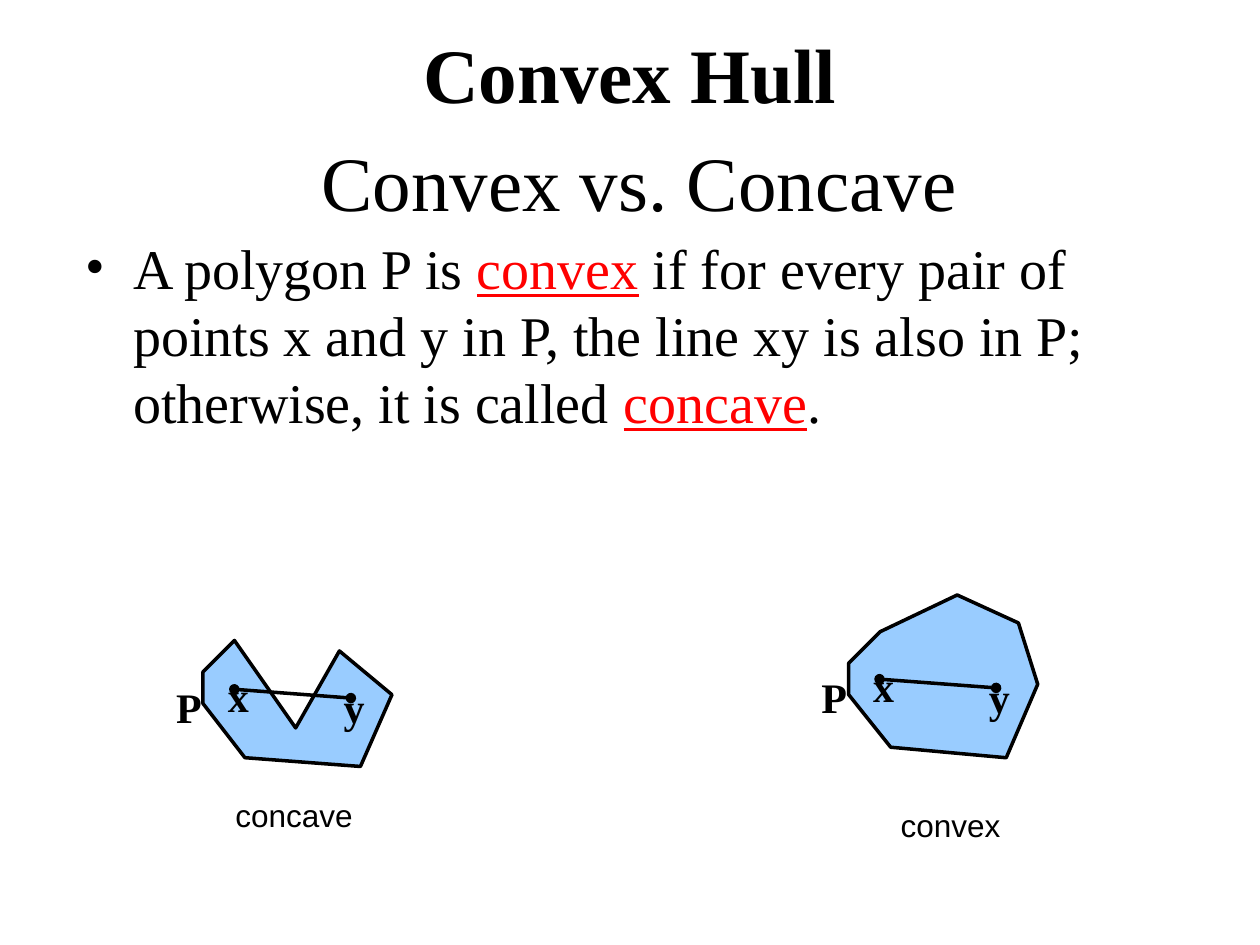
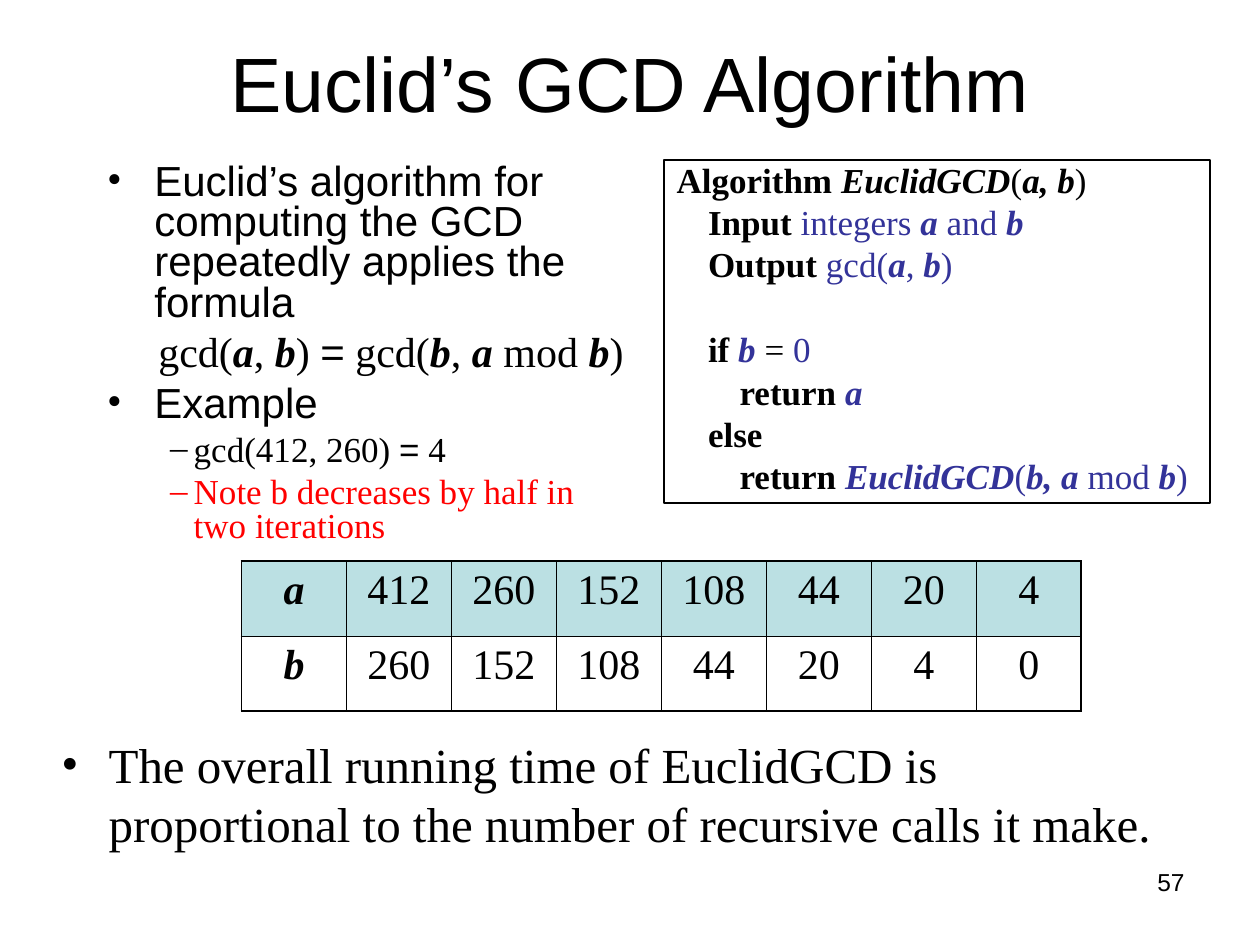
"""Build two slides on convex polygons and Euclid's GCD algorithm."""
from lxml.etree import SubElement
from pptx import Presentation
from pptx.dml.color import RGBColor
from pptx.enum.shapes import MSO_CONNECTOR, MSO_SHAPE
from pptx.enum.text import MSO_ANCHOR, MSO_AUTO_SIZE, PP_ALIGN
from pptx.oxml.ns import qn
from pptx.util import Pt

COLORS = {"text": "000000", "accent": "FF0000", "code": "333399",
          "polygon": "99CCFF", "header": "BBE0E3"}
SERIF, SANS = "Times New Roman", "Arial"
BOLD = {"bold": True}
VAR = {"bold": True, "italic": True}
TERM = {"color": "accent", "underline": True}
CODE = {"color": "code"}
CODE_VAR = {**VAR, **CODE}


def write(shape, text, size=24, font=SERIF, color="text", bold=False, align=PP_ALIGN.LEFT,
          bullet=None, level=0, margin=0, indent=0, before=0, spacing=1.0):
    """Append one paragraph; text is a string or a list of (text, format) runs."""
    frame = shape.text_frame
    paragraph = frame.add_paragraph() if frame.text else frame.paragraphs[0]
    paragraph.level, paragraph.alignment = level, align
    paragraph.space_before, paragraph.line_spacing = Pt(before), spacing
    properties = paragraph._p.get_or_add_pPr()
    properties.set("marL", str(Pt(margin)))
    properties.set("indent", str(Pt(indent)))
    if bullet:
        SubElement(properties, qn("a:buFont"), typeface=SERIF)
        SubElement(properties, qn("a:buChar"), char=bullet)
    else:
        SubElement(properties, qn("a:buNone"))
    for words, style in [(text, {})] if isinstance(text, str) else text:
        run = paragraph.add_run()
        run.text = words
        run.font.size = Pt(size)
        run.font.name = style.get("font", font)
        run.font.bold = style.get("bold", bold)
        run.font.italic = style.get("italic", False)
        run.font.underline = style.get("underline", False)
        run.font.color.rgb = RGBColor.from_string(COLORS[style.get("color", color)])


def place(shape, left, top, width, height, anchor=MSO_ANCHOR.TOP, wrap=True):
    """Position a text shape and fix how its text sits; return the shape."""
    shape.left, shape.top, shape.width, shape.height = Pt(left), Pt(top), Pt(width), Pt(height)
    shape.text_frame.auto_size = MSO_AUTO_SIZE.NONE
    shape.text_frame.vertical_anchor = anchor
    shape.text_frame.word_wrap = wrap
    return shape


deck = Presentation()
deck.slide_width, deck.slide_height = Pt(720), Pt(540)
layout = deck.slide_layouts[1]

hull = deck.slides.add_slide(layout)
subtitle = place(hull.shapes.title, 47.3, 82, 635.8, 42, MSO_ANCHOR.MIDDLE)
write(subtitle, "Convex vs. Concave", size=44, align=PP_ALIGN.CENTER)
definition = place(hull.placeholders[1], 41.8, 129.6, 635.8, 374.4)
write(definition, [("A polygon P is ", {}), ("convex", TERM),
                   (" if for every pair of points x and y in P, the line xy is also in P; "
                    "otherwise, it is called ", {}), ("concave", TERM), (".", {})],
      size=32, bullet="•", margin=27, indent=-27)
heading = place(hull.shapes.add_textbox(0, 0, 0, 0), 54, -16.5, 612, 116, MSO_ANCHOR.MIDDLE)
write(heading, "Convex Hull", size=44, bold=True, align=PP_ALIGN.CENTER)

shared_outline = [(108, 30.2), (90, 72), (24, 66.2), (0, 36), (0, 18)]
polygons = [
    ("concave", 115.9, 366.5, [(53.3, 49), (77.8, 5.8)], (127.4, 451.4, 81.4)),
    ("convex", 484.6, 360.7, [(62.6, -20.2), (97.2, -5)], (507.6, 457.2, 71.3)),
]
for kind, left, top, upper_corners, (caption_left, caption_top, caption_width) in polygons:
    corners = [(left + x, top + y) for x, y in upper_corners + shared_outline]
    outline = hull.shapes.build_freeform(left + 18, top, scale=Pt(1))
    outline.add_line_segments(corners, close=True)
    polygon = outline.convert_to_shape()
    polygon.shadow.inherit = False
    polygon.fill.solid()
    polygon.fill.fore_color.rgb = RGBColor.from_string(COLORS["polygon"])
    segment = hull.shapes.add_connector(MSO_CONNECTOR.STRAIGHT, Pt(left + 18), Pt(top + 27.4),
                                        Pt(left + 84.6), Pt(top + 32.4))
    SubElement(segment._element.spPr, qn("a:effectLst"))
    for stroke in (polygon.line, segment.line):
        stroke.color.rgb = RGBColor.from_string(COLORS["text"])
        stroke.width = Pt(2)
    for end in ("a:headEnd", "a:tailEnd"):
        SubElement(segment.line._get_or_add_ln(), qn(end), type="oval")
    for name, x, y, width in [("x", 7.2, 13, 26), ("y", 73.4, 19.4, 26), ("P", -22.3, 19.4, 29)]:
        label = place(hull.shapes.add_textbox(0, 0, 0, 0), left + x, top + y, width, 36, wrap=False)
        write(label, name, bold=True)
    caption = place(hull.shapes.add_textbox(0, 0, 0, 0), caption_left, caption_top,
                    caption_width, 29, wrap=False)
    write(caption, kind, size=18, font=SANS)

euclid = deck.slides.add_slide(layout)
title = place(euclid.shapes.title, 36, 16.5, 648, 90)
write(title, "Euclid’s GCD Algorithm", size=44, font=SANS, align=PP_ALIGN.CENTER)

summary = place(euclid.placeholders[1], 54, 90, 311.8, 234)
point = {"font": SANS, "bullet": "•", "margin": 27, "indent": -27, "spacing": 0.8}
detail = {"size": 20, "bullet": "–", "level": 1, "margin": 49.5, "indent": -13.5,
          "before": 5, "spacing": 0.8}
write(summary, "Euclid’s algorithm for computing the GCD repeatedly applies the formula", **point)
write(summary, [("gcd(", {}), ("a", VAR), (", ", {}), ("b", VAR), (") ", {}),
                ("=", {"font": SANS}), (" gcd(", {}), ("b", VAR), (", ", {}), ("a", VAR),
                (" mod ", {}), ("b", VAR), (")", {})],
      align=PP_ALIGN.CENTER, margin=27, before=6, spacing=0.8)
write(summary, "Example", before=6, **point)
write(summary, [("gcd(412, 260) ", {}), ("=", {"font": SANS}), (" 4", {})], **detail)
write(summary, "Note b decreases by half in two iterations", color="accent", **detail)

steps = euclid.shapes.add_table(2, 8, Pt(138), Pt(320.5), Pt(480), Pt(86)).table
steps.first_row = steps.horz_banding = False
rows = [["a", 412, 260, 152, 108, 44, 20, 4], ["b", 260, 152, 108, 44, 20, 4, 0]]
for r, values in enumerate(rows):
    for c, value in enumerate(values):
        cell = steps.cell(r, c)
        outer_sides = {"a:lnL": c == 0, "a:lnR": c == 7, "a:lnT": r == 0, "a:lnB": r == 1}
        for side, is_outer in outer_sides.items():
            border = SubElement(cell._tc.get_or_add_tcPr(), qn(side),
                                w=str(Pt(1.08 if is_outer else 0.45)))
            SubElement(SubElement(border, qn("a:solidFill")), qn("a:srgbClr"), val=COLORS["text"])
        if r == 0:
            cell.fill.solid()
            cell.fill.fore_color.rgb = RGBColor.from_string(COLORS["header"])
        else:
            cell.fill.background()
        write(cell, [(str(value), VAR if c == 0 else {})], align=PP_ALIGN.CENTER)

pseudocode = place(euclid.shapes.add_shape(MSO_SHAPE.RECTANGLE, 0, 0, 0, 0), 379.5, 91.5, 312, 196)
pseudocode.shadow.inherit = False
pseudocode.fill.background()
pseudocode.line.color.rgb = RGBColor.from_string(COLORS["text"])
pseudocode.line.width = Pt(0.75)
code_lines = [
    (0, 0, [("Algorithm ", BOLD), ("EuclidGCD", VAR), ("(", {}), ("a, b", VAR), (")", {})]),
    (1, 5, [("Input ", BOLD), ("integers ", CODE), ("a", CODE_VAR), (" and ", CODE),
            ("b", CODE_VAR)]),
    (1, 5, [("Output ", BOLD), ("gcd(", CODE), ("a", CODE_VAR), (", ", CODE), ("b", CODE_VAR),
            (")", CODE)]),
    (1, 29.3, [("if ", BOLD), ("b ", CODE_VAR), ("= ", {}), ("0", CODE)]),
    (2, 5, [("return ", BOLD), ("a", CODE_VAR)]),
    (1, 5, [("else", BOLD)]),
    (2, 5, [("return ", BOLD), ("EuclidGCD", CODE_VAR), ("(", CODE), ("b, a ", CODE_VAR),
            ("mod ", CODE), ("b", CODE_VAR), (")", CODE)]),
]
for depth, before, runs in code_lines:
    write(pseudocode, runs, size=20, margin=18 * depth, before=before, spacing=0.8)

conclusion = place(euclid.shapes.add_textbox(0, 0, 0, 0), 28, 416, 658, 57)
write(conclusion, "The overall running time of EuclidGCD is proportional to the number of "
      "recursive calls it make.", size=28, bullet="•", margin=27, indent=-27)
page_number = place(euclid.shapes.add_textbox(0, 0, 0, 0), 516, 491.8, 168, 37.4)
write(page_number, "57", size=14, font=SANS, align=PP_ALIGN.RIGHT)

deck.save("out.pptx")
